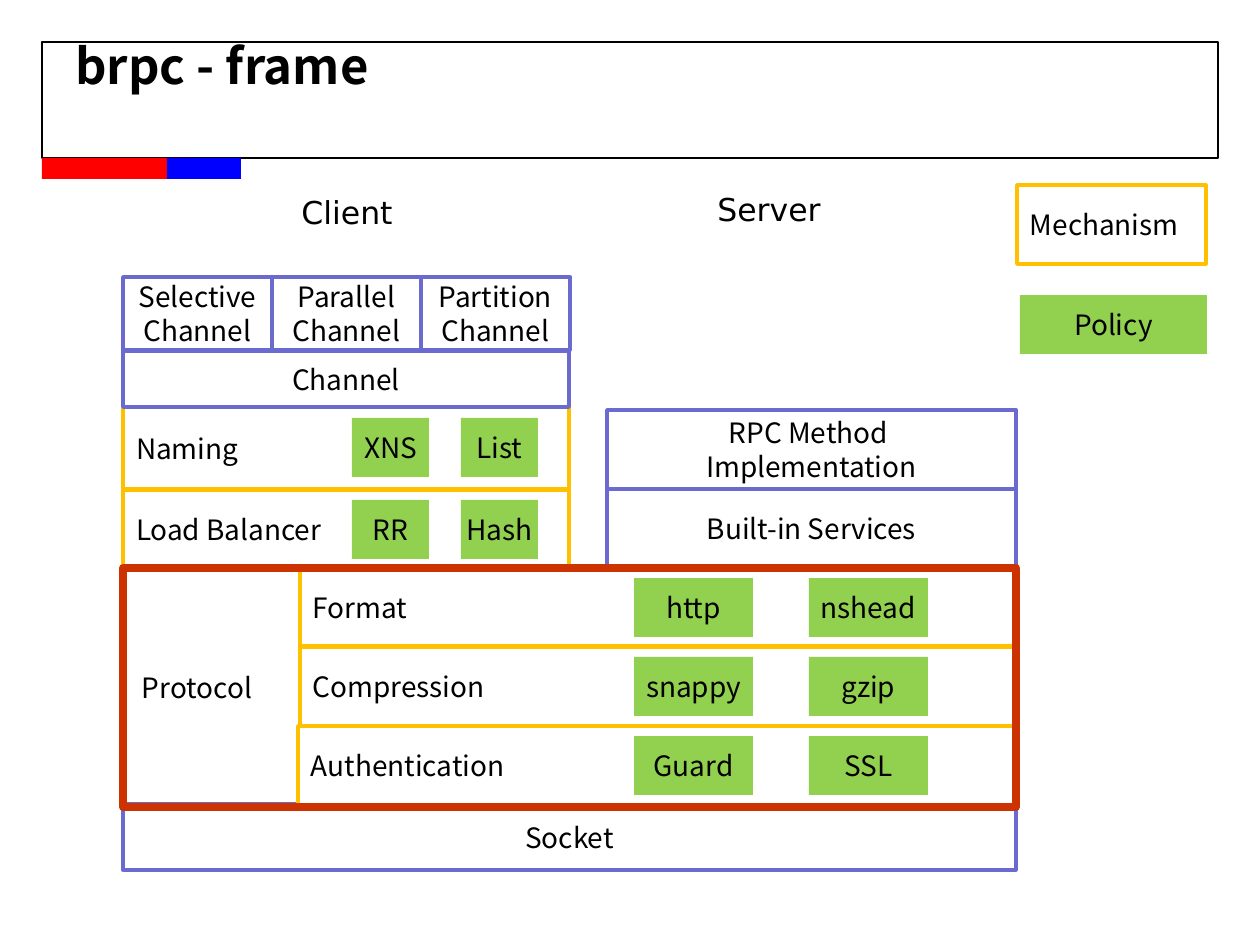
from dataclasses import dataclass

from pptx import Presentation
from pptx.dml.color import RGBColor
from pptx.enum.shapes import MSO_SHAPE
from pptx.enum.text import MSO_ANCHOR, PP_ALIGN
from pptx.util import Emu, Pt

RECTANGLE = MSO_SHAPE.RECTANGLE
LEFT, CENTER = PP_ALIGN.LEFT, PP_ALIGN.CENTER
TOP, MIDDLE = MSO_ANCHOR.TOP, MSO_ANCHOR.MIDDLE

EMU_PER_PX = 914400 / 126
MAIN_FONT, LABEL_FONT = "Noto Sans CJK SC", "DejaVu Sans"
BLACK, WHITE = "000000", "FFFFFF"
BLUE, YELLOW, GREEN, RED = "6B6BCF", "FFC000", "92D050", "CC3300"


@dataclass(frozen=True)
class Style:
    fill: str | None = None
    line: str | None = None
    width: float = 2
    align: PP_ALIGN = CENTER
    indent: int = 0


@dataclass(frozen=True)
class Box:
    left: int
    top: int
    width: int
    height: int
    style: Style
    text: str = ""


@dataclass(frozen=True)
class Label:
    left: int
    top: int
    width: int
    height: int
    text: str
    font: dict
    align: PP_ALIGN = CENTER


LAYER = Style(WHITE, BLUE)
MECHANISM = Style(WHITE, YELLOW, align=LEFT, indent=13)
POLICY = Style(GREEN)
HIGHLIGHT = Style(None, RED, 4.5, LEFT, 19)


def px(value: int) -> Emu:
    return Emu(round(value * EMU_PER_PX))


def color(value: str) -> RGBColor:
    return RGBColor.from_string(value)


def set_attributes(target, values: dict) -> None:
    for name, value in values.items():
        setattr(target, name, value)


def write_text(shape, text: str, font: dict, align, frame_format: dict) -> None:
    frame = shape.text_frame
    set_attributes(frame, {"word_wrap": True, **frame_format})
    frame.text = text
    for paragraph in frame.paragraphs:
        paragraph.alignment = align
        for run in paragraph.runs:
            set_attributes(run.font, font)
            run.font.color.rgb = color(BLACK)


def draw_box(slide, box: Box) -> None:
    shape = slide.shapes.add_shape(
        RECTANGLE, px(box.left), px(box.top), px(box.width), px(box.height))
    shape.shadow.inherit = False
    style = box.style
    if style.fill:
        shape.fill.solid()
        shape.fill.fore_color.rgb = color(style.fill)
    else:
        shape.fill.background()
    if style.line:
        shape.line.color.rgb = color(style.line)
        shape.line.width = Pt(style.width)
    else:
        shape.line.fill.background()
    if box.text:
        frame_format = {"margin_left": px(style.indent), "margin_right": 0,
                        "margin_top": 0, "margin_bottom": 0,
                        "vertical_anchor": MIDDLE}
        write_text(shape, box.text, {"name": MAIN_FONT, "size": Pt(16)},
                   style.align, frame_format)


def draw_label(slide, label: Label) -> None:
    shape = slide.shapes.add_textbox(
        px(label.left), px(label.top), px(label.width), px(label.height))
    write_text(shape, label.text, label.font, label.align, {"vertical_anchor": TOP})


def policy_grid(rows, lefts, top: int, pitch: int, width: int) -> list[Box]:
    return [Box(left, top + row * pitch, width, 59, POLICY, name)
            for row, names in enumerate(rows)
            for left, name in zip(lefts, names)]


HEADER = [
    Box(42, 42, 1176, 116, Style(None, BLACK, 0.75)),
    Box(42, 158, 149, 21, Style("FF0000")),
    Box(167, 158, 74, 21, Style("0000FF")),
]
LEGEND = [
    Box(1017, 185, 189, 79, MECHANISM, "Mechanism"),
    Box(1020, 295, 187, 59, POLICY, "Policy"),
]
CLIENT = [
    Box(123, 490, 446, 79, MECHANISM, "Load Balancer"),
    Box(123, 407, 446, 82, MECHANISM, "Naming"),
    Box(123, 351, 446, 56, LAYER, "Channel"),
    *(Box(123 + 149 * column, 277, 149, 73, LAYER, f"{name}\nChannel")
      for column, name in enumerate(["Selective", "Parallel", "Partition"])),
    *policy_grid([["XNS", "List"], ["RR", "Hash"]], [352, 461], 418, 82, 77),
]
SERVER = [
    Box(607, 489, 409, 79, LAYER, "Built-in Services"),
    Box(607, 410, 409, 79, LAYER, "RPC Method \nImplementation"),
]
PROTOCOL = [
    Box(123, 804, 893, 66, LAYER, "Socket"),
    Box(300, 569, 717, 77, MECHANISM, "Format"),
    Box(298, 726, 717, 79, MECHANISM, "Authentication"),
    Box(300, 647, 717, 79, MECHANISM, "Compression"),
    *policy_grid([["http", "nshead"], ["snappy", "gzip"], ["Guard", "SSL"]],
                 [634, 809], 578, 79, 119),
]
PROTOCOL_FRAME = [Box(123, 568, 893, 239, HIGHLIGHT, "Protocol")]

SIDE_FONT = {"name": LABEL_FONT, "size": Pt(18)}
LABELS = [
    Label(63, 29, 1134, 84, "brpc - frame",
          {"name": MAIN_FONT, "size": Pt(28), "bold": True}, LEFT),
    Label(218, 187, 258, 50, "Client", SIDE_FONT),
    Label(640, 184, 258, 50, "Server", SIDE_FONT),
]


def main() -> None:
    presentation = Presentation()
    presentation.slide_width, presentation.slide_height = px(1260), px(945)
    slide = presentation.slides.add_slide(presentation.slide_layouts[6])
    for box in HEADER + PROTOCOL + CLIENT + SERVER + LEGEND + PROTOCOL_FRAME:
        draw_box(slide, box)
    for label in LABELS:
        draw_label(slide, label)
    presentation.save("out.pptx")


if __name__ == "__main__":
    main()
